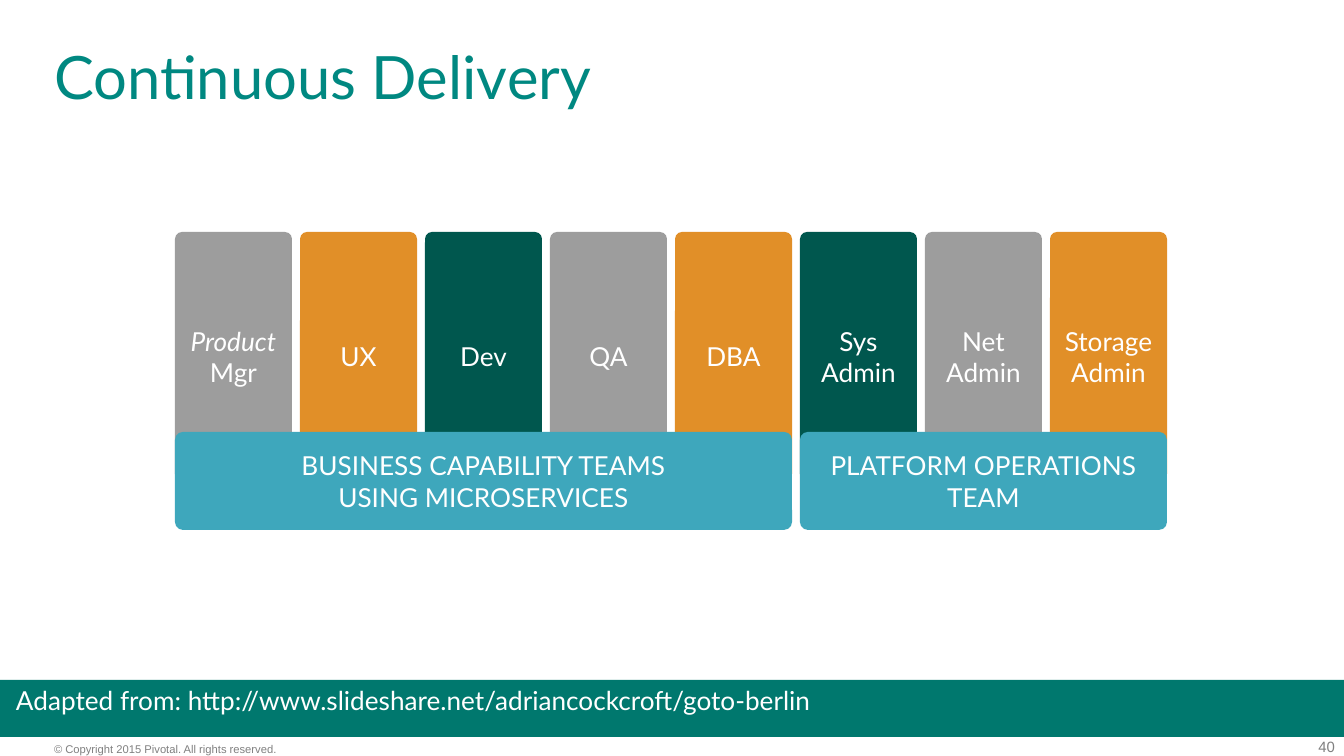
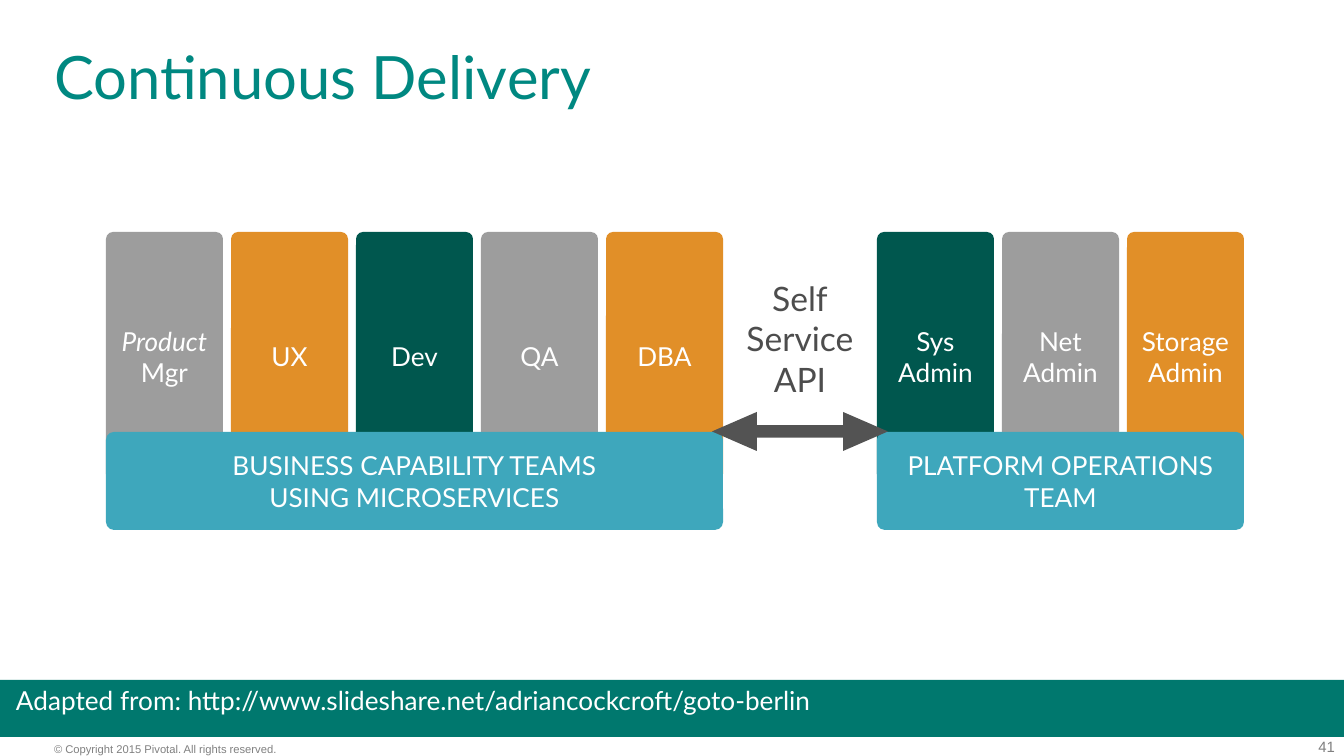
from pptx import Presentation
from pptx.dml.color import RGBColor
from pptx.enum.shapes import MSO_SHAPE
from pptx.enum.text import MSO_ANCHOR, PP_ALIGN
from pptx.util import Emu, Pt

WHITE = RGBColor(0xFF, 0xFF, 0xFF)
BAND_GREEN = RGBColor(0x00, 0x78, 0x6E)
TITLE_TEAL = RGBColor(0x00, 0x88, 0x81)
FOOTER_GREY = RGBColor(0x80, 0x80, 0x80)
GREY = RGBColor(0x9D, 0x9D, 0x9D)
ORANGE = RGBColor(0xE1, 0x8F, 0x28)
DARK_GREEN = RGBColor(0x00, 0x57, 0x4E)
BLUE = RGBColor(0x3E, 0xA7, 0xBC)
API_GREY = RGBColor(0x4D, 0x4D, 0x4D)
ARROW_GREY = RGBColor(0x53, 0x53, 0x53)

SLIDE_W, SLIDE_H = 1344, 756
ROLE_W, ROLE_GAP = 117, 8
TEAM_TOP, TEAM_H = 232, 298
ROLE_H, LABEL_H = 249, 98

BUSINESS_ROLES = [
    (["Product", "Mgr"], GREY),
    (["UX"], ORANGE),
    (["Dev"], DARK_GREEN),
    (["QA"], GREY),
    (["DBA"], ORANGE),
]
PLATFORM_ROLES = [
    (["Sys", "Admin"], DARK_GREEN),
    (["Net", "Admin"], GREY),
    (["Storage", "Admin"], ORANGE),
]
BUSINESS_LABEL = ["BUSINESS CAPABILITY TEAMS", "USING MICROSERVICES"]
PLATFORM_LABEL = ["PLATFORM OPERATIONS TEAM"]


def px(length):
    """Turn whole pixels into EMU."""
    return Emu(round(length * 914400 / 134.4))


def write(holder, lines, size, color, font="Lato", align=PP_ALIGN.LEFT,
          anchor=MSO_ANCHOR.TOP, wrap=True, spacing=None):
    """Write one paragraph per line, without insets."""
    frame = holder.text_frame
    frame.margin_left = frame.margin_right = 0
    frame.margin_top = frame.margin_bottom = 0
    frame.word_wrap = wrap
    frame.vertical_anchor = anchor
    for index, line in enumerate(lines):
        paragraph = frame.paragraphs[0] if index == 0 else frame.add_paragraph()
        paragraph.alignment = align
        paragraph.line_spacing = spacing
        run = paragraph.add_run()
        run.text = line
        run.font.size = Pt(size)
        run.font.name = font
        run.font.color.rgb = color
        run.font.italic = line == "Product"


def add_text(slide, box, lines, size, color, **style):
    """Add a text box."""
    write(slide.shapes.add_textbox(*map(px, box)), lines, size, color, **style)


def add_block(slide, preset, box, fill, *adjustments):
    """Add a flat filled shape without outline."""
    block = slide.shapes.add_shape(preset, *map(px, box))
    block.shadow.inherit = False
    block.fill.solid()
    block.fill.fore_color.rgb = fill
    block.line.fill.background()
    for index, value in enumerate(adjustments):
        block.adjustments[index] = value
    return block


def add_card(slide, box, lines, fill, rounding):
    """Add a rounded card with centred white text."""
    card = add_block(slide, MSO_SHAPE.ROUNDED_RECTANGLE, box, fill, rounding)
    write(card, lines, 14, WHITE, align=PP_ALIGN.CENTER, anchor=MSO_ANCHOR.MIDDLE)


def add_frame(slide, number):
    """Add the title, source band and footer shared by the slides."""
    band_top = 680
    add_block(slide, MSO_SHAPE.RECTANGLE, (0, band_top, SLIDE_W, 57), BAND_GREEN)
    add_text(slide, (54, 742, 335, 19),
             ["© Copyright 2015 Pivotal. All rights reserved."],
             6, FOOTER_GREY, font="Arial")
    add_text(slide, (54, 48, 1236, 67), ["Continuous Delivery"],
             32, TITLE_TEAL, spacing=0.9)
    add_text(slide, (1257, 738, 78, 19), [str(number)],
             8, FOOTER_GREY, font="Arial", align=PP_ALIGN.RIGHT)
    add_text(slide, (16, band_top + 4, 841, 48),
             ["Adapted from: http://www.slideshare.net/adriancockcroft/goto-berlin"],
             14, WHITE, wrap=False)


def add_team(slide, left, roles, label):
    """Add a row of roles joined by a team label, and return its right edge."""
    pitch = ROLE_W + ROLE_GAP
    for index, (lines, fill) in enumerate(roles):
        add_card(slide, (left + index * pitch, TEAM_TOP, ROLE_W, ROLE_H),
                 lines, fill, 0.06)
    width = len(roles) * pitch - ROLE_GAP
    add_card(slide, (left, TEAM_TOP + TEAM_H - LABEL_H, width, LABEL_H),
             label, BLUE, 0.08)
    return left + width


def add_api(slide, left, right):
    """Add the self-service API caption and arrow across the gap."""
    caption_inset, arrow_overlap = 8, 11
    add_text(slide, (left + caption_inset, 278, right - left - 2 * caption_inset, 153),
             ["Self", "Service", "API"], 18, API_GREY,
             align=PP_ALIGN.CENTER, wrap=False)
    add_block(slide, MSO_SHAPE.LEFT_RIGHT_ARROW,
              (left - arrow_overlap, 412, right - left + 2 * arrow_overlap, 39),
              ARROW_GREY, 0.32, 1.15)


def add_delivery_slide(deck, number, left, team_gap, with_api):
    """Add a slide with the business and platform teams side by side."""
    slide = deck.slides.add_slide(deck.slide_layouts[6])
    add_frame(slide, number)
    business_right = add_team(slide, left, BUSINESS_ROLES, BUSINESS_LABEL)
    platform_left = business_right + team_gap
    add_team(slide, platform_left, PLATFORM_ROLES, PLATFORM_LABEL)
    if with_api:
        add_api(slide, business_right, platform_left)


def main():
    """Build and save the deck."""
    deck = Presentation()
    deck.slide_width, deck.slide_height = px(SLIDE_W), px(SLIDE_H)
    add_delivery_slide(deck, 40, 175, ROLE_GAP, False)
    add_delivery_slide(deck, 41, 106, 154, True)
    deck.save("out.pptx")


if __name__ == "__main__":
    main()
